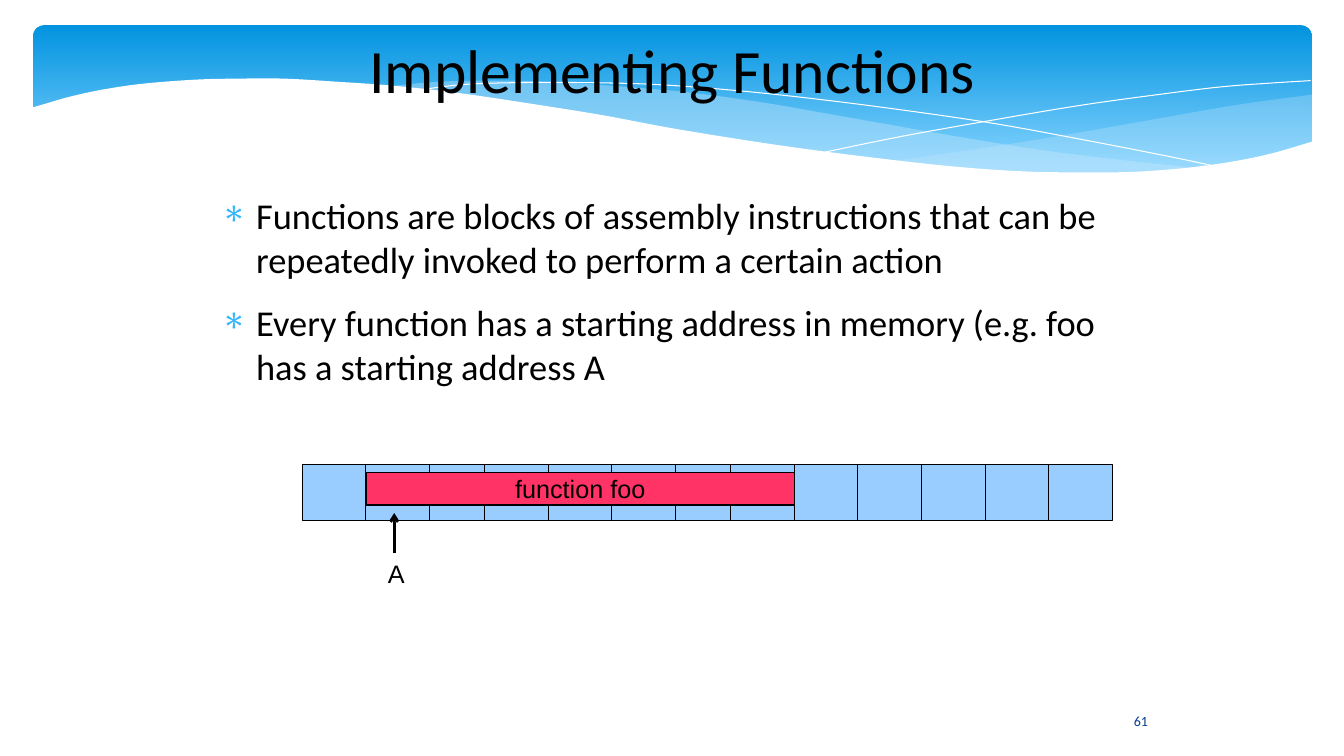
from dataclasses import dataclass
from typing import Optional

from lxml.etree import SubElement
from pptx import Presentation
from pptx.dml.color import RGBColor
from pptx.enum.shapes import MSO_CONNECTOR, MSO_SHAPE
from pptx.enum.text import MSO_ANCHOR, PP_ALIGN
from pptx.oxml.ns import qn
from pptx.util import Inches, Pt

Point = tuple[float, float]


@dataclass(frozen=True)
class Theme:
    black: str = "000000"
    white: str = "FFFFFF"
    sky_top: str = "0293E0"
    sky_bottom: str = "83D3FE"
    haze: str = "C6E7FC"
    bullet: str = "31B6FD"
    number: str = "073E87"
    memory: str = "99CCFF"
    function: str = "FF3366"
    heading_font: str = "Calibri"
    diagram_font: str = "Arial"
    title_size: int = 44
    body_size: int = 26
    diagram_size: int = 18
    number_size: int = 10


@dataclass(frozen=True)
class Wave:
    curves: list[list[Point]]
    fill: Optional[str] = None
    line: Optional[str] = None
    opacity: int = 100


@dataclass(frozen=True)
class Block:
    left: float
    top: float
    width: float
    height: float
    fill: str
    label: str = ""


@dataclass(frozen=True)
class Caption:
    left: float
    top: float
    width: float
    height: float
    lines: list[str]
    font: str
    size: int
    color: str
    align: PP_ALIGN = PP_ALIGN.LEFT
    anchor: MSO_ANCHOR = MSO_ANCHOR.TOP
    inset: bool = True
    wrap: bool = True
    bulleted: bool = False


THEME = Theme()

# Header waves, back to front; each curve is smoothed through its points
WAVES = [
    Wave([[(13.01, 0.94), (12.27, 1.04), (11.47, 1.18), (10.38, 1.37), (9.41, 1.52), (8.82, 1.6)],
          [(8.82, 1.6), (9.58, 1.67), (10.25, 1.71), (10.85, 1.72), (11.38, 1.7),
           (11.96, 1.65), (12.47, 1.56), (13.01, 1.42)]], fill=THEME.haze, opacity=29),
    Wave([[(11.9, 1.67), (11.16, 1.59), (10.34, 1.49), (9.41, 1.34), (8.39, 1.16), (7.59, 1.02),
           (6.86, 0.92), (6.19, 0.86), (5.6, 0.82), (5.06, 0.8), (4.37, 0.81), (3.82, 0.86)],
          [(3.82, 0.86), (4.56, 0.94), (5.39, 1.06), (5.99, 1.16), (7.06, 1.35), (8.02, 1.5),
           (8.87, 1.61), (9.63, 1.68), (10.3, 1.72), (10.9, 1.73), (11.43, 1.71), (11.9, 1.67)]],
         fill=THEME.haze, opacity=40),
    Wave([[(4.12, 0.9), (4.58, 0.84), (5.16, 0.82), (5.77, 0.82), (6.52, 0.84), (7.42, 0.91),
           (8.48, 1.03), (9.7, 1.2), (10.6, 1.36), (11.58, 1.55), (12.1, 1.66)]], line=THEME.white),
    Wave([[(8.18, 1.51), (8.96, 1.35), (9.97, 1.17), (10.75, 1.04), (11.55, 0.93),
           (12.13, 0.86), (12.67, 0.82), (13, 0.8)]], line=THEME.white),
    Wave([[(13.03, 1.4), (12.54, 1.54), (11.98, 1.64), (11.34, 1.7), (10.78, 1.71), (10.15, 1.7),
           (9.44, 1.65), (8.63, 1.56), (7.72, 1.44), (6.71, 1.28), (5.96, 1.14), (5.21, 1.02),
           (4.53, 0.92), (3.9, 0.85), (3.33, 0.81), (2.82, 0.78), (2.35, 0.78), (1.94, 0.79),
           (1.42, 0.83), (1.01, 0.89), (0.69, 0.96), (0.48, 1.02), (0.31, 1.07)],
          [(0.31, 2.24), (13.03, 2.24)]], fill=THEME.white),
]

# Memory strip, its cells, and the function stored in it
STRIP_TOP, STRIP_HEIGHT, CELL_WIDTH = 4.61, 0.55, 0.63
CELL_LEFTS = [3.63, 4.81, 6.07, 7.25, 8.51, 9.77]
BLOCKS = [
    Block(3, STRIP_TOP, 8.03, STRIP_HEIGHT, THEME.memory),
    *[Block(left, STRIP_TOP, CELL_WIDTH, STRIP_HEIGHT, THEME.memory) for left in CELL_LEFTS],
    Block(3.63, 4.69, 4.25, 0.32, THEME.function, "function foo"),
]

CAPTIONS = [
    Caption(11.01, 6.95, 0.61, 0.4, ["61"], THEME.heading_font, THEME.number_size,
            THEME.number, PP_ALIGN.CENTER, MSO_ANCHOR.MIDDLE),
    Caption(1.92, 0.17, 9.5, 1.02, ["Implementing Functions"], THEME.heading_font,
            THEME.title_size, THEME.black, PP_ALIGN.CENTER, MSO_ANCHOR.MIDDLE, inset=False),
    Caption(2.07, 1.92, 9.26, 2.72, [
        "Functions are blocks of assembly instructions that can be repeatedly invoked "
        "to perform a certain action",
        "Every function has a starting address in memory (e.g. foo has a starting address A",
    ], THEME.heading_font, THEME.body_size, THEME.black, inset=False, bulleted=True),
    Caption(3.75, 5.49, 0.37, 0.39, ["A"], THEME.diagram_font, THEME.diagram_size,
            THEME.black, wrap=False),
]


def smooth(points: list[Point], steps: int = 6) -> list[Point]:
    """Pass a Catmull-Rom spline through the points."""
    padded = [points[0], *points, points[-1]]
    result = [points[0]]
    for a, b, c, d in zip(padded, padded[1:], padded[2:], padded[3:]):
        for step in range(1, steps + 1):
            t = step / steps
            result.append(tuple(
                0.5 * (2 * q + (r - p) * t + (2 * p - 5 * q + 4 * r - s) * t ** 2
                       + (3 * q - p - 3 * r + s) * t ** 3)
                for p, q, r, s in zip(a, b, c, d)))
    return result


def style_text(para, font: str, size: int, color: str, align: PP_ALIGN) -> None:
    para.alignment = align
    para.font.name = font
    para.font.size = Pt(size)
    para.font.color.rgb = RGBColor.from_string(color)


def draw_header(page) -> None:
    header = page.shapes.add_shape(MSO_SHAPE.ROUNDED_RECTANGLE, Inches(0.33), Inches(0.25),
                                   Inches(12.68), Inches(1.56))
    header.adjustments[0] = 0.07
    header.shadow.inherit = False
    header.line.fill.background()
    header.fill.gradient()
    header.fill.gradient_angle = 270
    stops = [(0, THEME.sky_top), (0.9, THEME.sky_bottom)]
    for stop, (position, color) in zip(header.fill.gradient_stops, stops):
        stop.position = position
        stop.color.rgb = RGBColor.from_string(color)


def draw_wave(page, wave: Wave) -> None:
    outline = [(Inches(x), Inches(y)) for curve in wave.curves for x, y in smooth(curve)]
    builder = page.shapes.build_freeform(*outline[0])
    builder.add_line_segments(outline[1:], close=wave.fill is not None)
    shape = builder.convert_to_shape()
    shape.shadow.inherit = False
    if wave.fill:
        shape.fill.solid()
        shape.fill.fore_color.rgb = RGBColor.from_string(wave.fill)
        color = shape.fill._xPr.find(".//" + qn("a:srgbClr"))
        SubElement(color, qn("a:alpha"), val=str(wave.opacity * 1000))
    else:
        shape.fill.background()
    if wave.line:
        shape.line.color.rgb = RGBColor.from_string(wave.line)
        shape.line.width = Inches(0)
    else:
        shape.line.fill.background()


def draw_block(page, block: Block) -> None:
    shape = page.shapes.add_shape(MSO_SHAPE.RECTANGLE, Inches(block.left), Inches(block.top),
                                  Inches(block.width), Inches(block.height))
    shape.shadow.inherit = False
    shape.fill.solid()
    shape.fill.fore_color.rgb = RGBColor.from_string(block.fill)
    shape.line.color.rgb = RGBColor.from_string(THEME.black)
    shape.line.width = Inches(0)
    if block.label:
        shape.text_frame.word_wrap = False
        shape.text_frame.text = block.label
        style_text(shape.text_frame.paragraphs[0], THEME.diagram_font, THEME.diagram_size,
                   THEME.black, PP_ALIGN.CENTER)


def draw_caption(page, caption: Caption) -> None:
    box = page.shapes.add_textbox(Inches(caption.left), Inches(caption.top),
                                  Inches(caption.width), Inches(caption.height))
    frame = box.text_frame
    frame.word_wrap = caption.wrap
    frame.vertical_anchor = caption.anchor
    if not caption.inset:
        frame.margin_left = frame.margin_right = frame.margin_top = frame.margin_bottom = 0
    frame.text = "\n".join(caption.lines)
    for para in frame.paragraphs:
        if caption.bulleted:
            para.space_after = Pt(14.1)
            properties = para._p.get_or_add_pPr()
            properties.set("marL", str(Inches(0.47)))
            properties.set("indent", str(Inches(-0.35)))
            color = SubElement(properties, qn("a:buClr"))
            SubElement(color, qn("a:srgbClr"), val=THEME.bullet)
            SubElement(properties, qn("a:buChar"), char="∗")
        style_text(para, caption.font, caption.size, caption.color, caption.align)


def draw_pointer(page) -> None:
    pointer = page.shapes.add_connector(MSO_CONNECTOR.STRAIGHT, Inches(3.91), Inches(5.49),
                                        Inches(3.91), Inches(5.09))
    pointer.line.color.rgb = RGBColor.from_string(THEME.black)
    pointer.line.width = Inches(0)
    SubElement(pointer.line._get_or_add_ln(), qn("a:tailEnd"), type="arrow")
    SubElement(pointer._element.spPr, qn("a:effectLst"))


def main() -> None:
    deck = Presentation()
    deck.slide_width, deck.slide_height = Inches(13.33), Inches(7.5)
    page = deck.slides.add_slide(deck.slide_layouts[6])
    draw_header(page)
    for wave in WAVES:
        draw_wave(page, wave)
    for block in BLOCKS:
        draw_block(page, block)
    for caption in CAPTIONS:
        draw_caption(page, caption)
    draw_pointer(page)
    deck.save("out.pptx")


if __name__ == "__main__":
    main()
